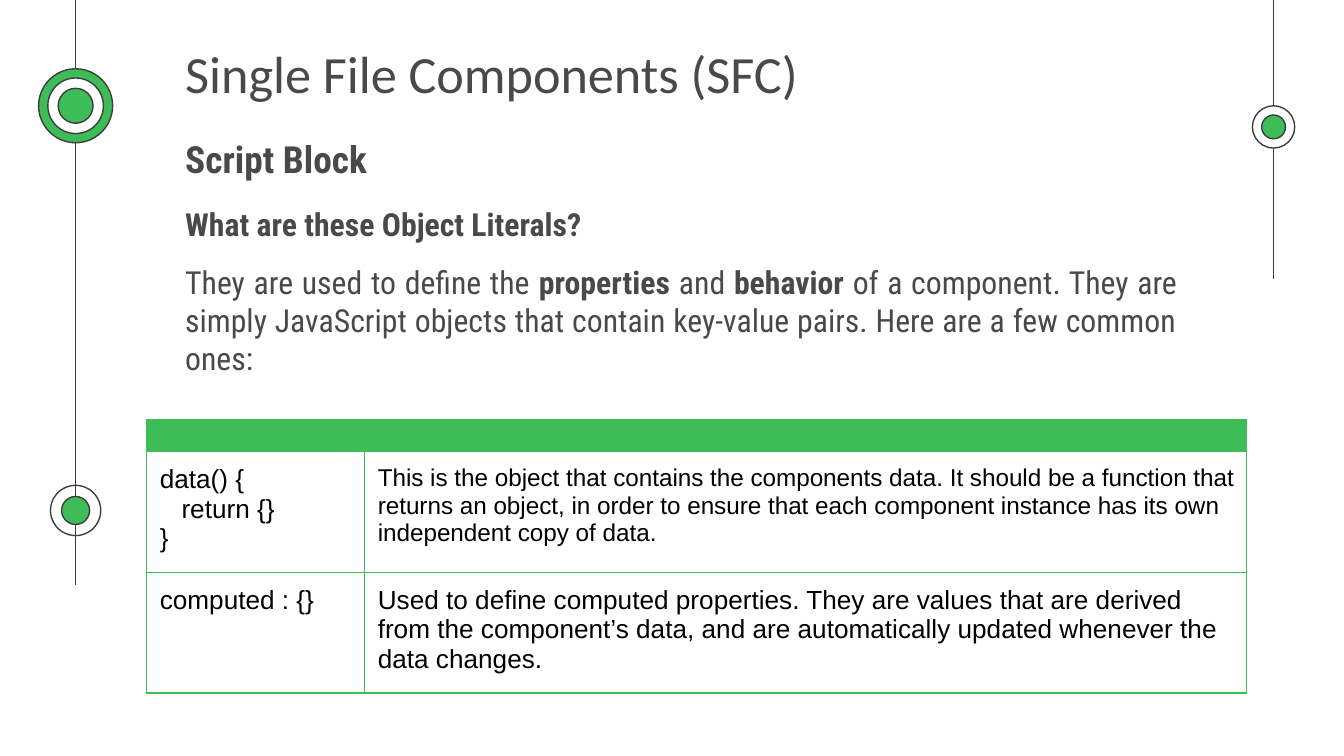
from lxml import etree
from pptx import Presentation
from pptx.dml.color import RGBColor
from pptx.enum.shapes import MSO_CONNECTOR, MSO_SHAPE
from pptx.enum.text import MSO_ANCHOR, PP_ALIGN
from pptx.oxml.ns import qn
from pptx.util import Cm, Pt

STRAIGHT = MSO_CONNECTOR.STRAIGHT
OVAL = MSO_SHAPE.OVAL
TOP = MSO_ANCHOR.TOP
LEFT = PP_ALIGN.LEFT
JUSTIFY = PP_ALIGN.JUSTIFY

COLORS = {
    "green": "3DBC58",
    "outline": "3D3D3D",
    "white": "FFFFFF",
    "text": "494949",
    "black": "000000",
}
LINE_WIDTH = Pt(0.75)
INSET = Cm(0.25)
MARGINS = ("margin_left", "margin_top", "margin_right", "margin_bottom")
BORDERS = ("a:lnL", "a:lnR", "a:lnT", "a:lnB")


def apply_format(target, values):
    for name, value in values.items():
        setattr(target, name, value)


class SlideBuilder:
    def __init__(self, slide):
        self.slide = slide
        self.frame_format = {"word_wrap": True, "vertical_anchor": TOP}
        self.frame_format.update(dict.fromkeys(MARGINS, INSET))

    def color(self, name):
        return RGBColor.from_string(COLORS[name])

    def style_font(self, font, color, **values):
        apply_format(font, values)
        font.color.rgb = self.color(color)

    def line(self, x, length):
        connector = self.slide.shapes.add_connector(
            STRAIGHT, Cm(x), Cm(0), Cm(x), Cm(length))
        connector.line.color.rgb = self.color("outline")
        connector.line.width = LINE_WIDTH
        etree.SubElement(connector._element.spPr, qn("a:effectLst"))

    def circle(self, x, y, diameter, fill):
        shape = self.slide.shapes.add_shape(
            OVAL, Cm(x - diameter / 2), Cm(y - diameter / 2), Cm(diameter), Cm(diameter))
        shape.shadow.inherit = False
        if fill:
            shape.fill.solid()
            shape.fill.fore_color.rgb = self.color(fill)
        else:
            shape.fill.background()
        shape.line.color.rgb = self.color("outline")
        shape.line.width = LINE_WIDTH

    def text(self, box, runs, size, font="Roboto Condensed", alignment=LEFT):
        shape = self.slide.shapes.add_textbox(*map(Cm, box))
        apply_format(shape.text_frame, self.frame_format)
        paragraph = shape.text_frame.paragraphs[0]
        paragraph.alignment = alignment
        for content, bold in runs:
            run = paragraph.add_run()
            run.text = content
            self.style_font(run.font, "text", name=font, size=Pt(size), bold=bold)

    def border(self, cell):
        properties = cell._tc.get_or_add_tcPr()
        for index, tag in enumerate(BORDERS):
            line = etree.Element(qn(tag), w=str(LINE_WIDTH))
            fill = etree.SubElement(line, qn("a:solidFill"))
            etree.SubElement(fill, qn("a:srgbClr"), val=COLORS["green"])
            properties.insert(index, line)

    def header_cell(self, cell):
        apply_format(cell, dict.fromkeys(MARGINS, 0))
        cell.fill.solid()
        cell.fill.fore_color.rgb = self.color("green")
        paragraph = cell.text_frame.paragraphs[0]
        etree.SubElement(paragraph._p, qn("a:endParaRPr"), sz="800")
        self.border(cell)

    def body_cell(self, cell, content, size):
        apply_format(cell, dict.fromkeys(MARGINS, INSET))
        cell.fill.background()
        cell.text_frame.text = content
        for paragraph in cell.text_frame.paragraphs:
            for run in paragraph.runs:
                self.style_font(run.font, "black", name="Arial", size=Pt(size), bold=False)
        self.border(cell)

    def table(self, left, top, widths, heights, rows):
        frame = self.slide.shapes.add_table(
            len(heights), len(widths), Cm(left), Cm(top), Cm(sum(widths)), Cm(sum(heights)))
        table = frame.table
        apply_format(table, {"first_row": False, "horz_banding": False})
        for column, width in zip(table.columns, widths):
            column.width = Cm(width)
        for row, height in zip(table.rows, heights):
            row.height = Cm(height)
        for cell in table.rows[0].cells:
            self.header_cell(cell)
        for row_index, row in enumerate(rows, start=1):
            for column_index, (content, size) in enumerate(row):
                self.body_cell(table.cell(row_index, column_index), content, size)


def main():
    presentation = Presentation()
    presentation.slide_width = Cm(25.4)
    presentation.slide_height = Cm(14.29)
    builder = SlideBuilder(presentation.slides.add_slide(presentation.slide_layouts[6]))

    left_x, right_x = 1.43, 24.07
    builder.line(left_x, 11.05)
    builder.line(right_x, 5.28)
    targets = [
        (left_x, 9.65, [(0.95, None), (0.53, "green")]),
        (right_x, 2.4, [(0.8, "white"), (0.45, "green")]),
        (left_x, 2, [(1.4, "green"), (1.05, "white"), (0.66, "green")]),
    ]
    for x, y, rings in targets:
        for diameter, fill in rings:
            builder.circle(x, y, diameter, fill)

    text_left = 3.25
    builder.text((text_left, 0.53, 13.74, 1.6),
                 [("Single File Components (SFC)", False)], 28, "Calibri")
    builder.text((text_left, 2.33, 4.2, 1.6), [("Script Block", True)], 20)
    builder.text((text_left, 3.62, 9.5, 1.6), [("What are these Object Literals?", True)], 17)
    builder.text((text_left, 4.71, 19.25, 2.69), [
        ("They are used to define the ", False),
        ("properties ", True),
        ("and ", False),
        ("behavior ", True),
        ("of a component. They are simply JavaScript objects that contain "
         "key-value pairs. Here are a few common ones:", False),
    ], 17, alignment=JUSTIFY)

    builder.table(2.77, 7.94, [4.12, 16.67], [0.6, 2.17, 2.17], [
        [("data() {\n   return {}\n}", 14),
         ("This is the object that contains the components data. It should be a function "
          "that returns an object, in order to ensure that each component instance has its "
          "own independent copy of data.", 13)],
        [("computed : {}", 14),
         ("Used to define computed properties. They are values that are derived from the "
          "component’s data, and are automatically updated whenever the data changes.", 14)],
    ])
    presentation.save("out.pptx")


if __name__ == "__main__":
    main()
